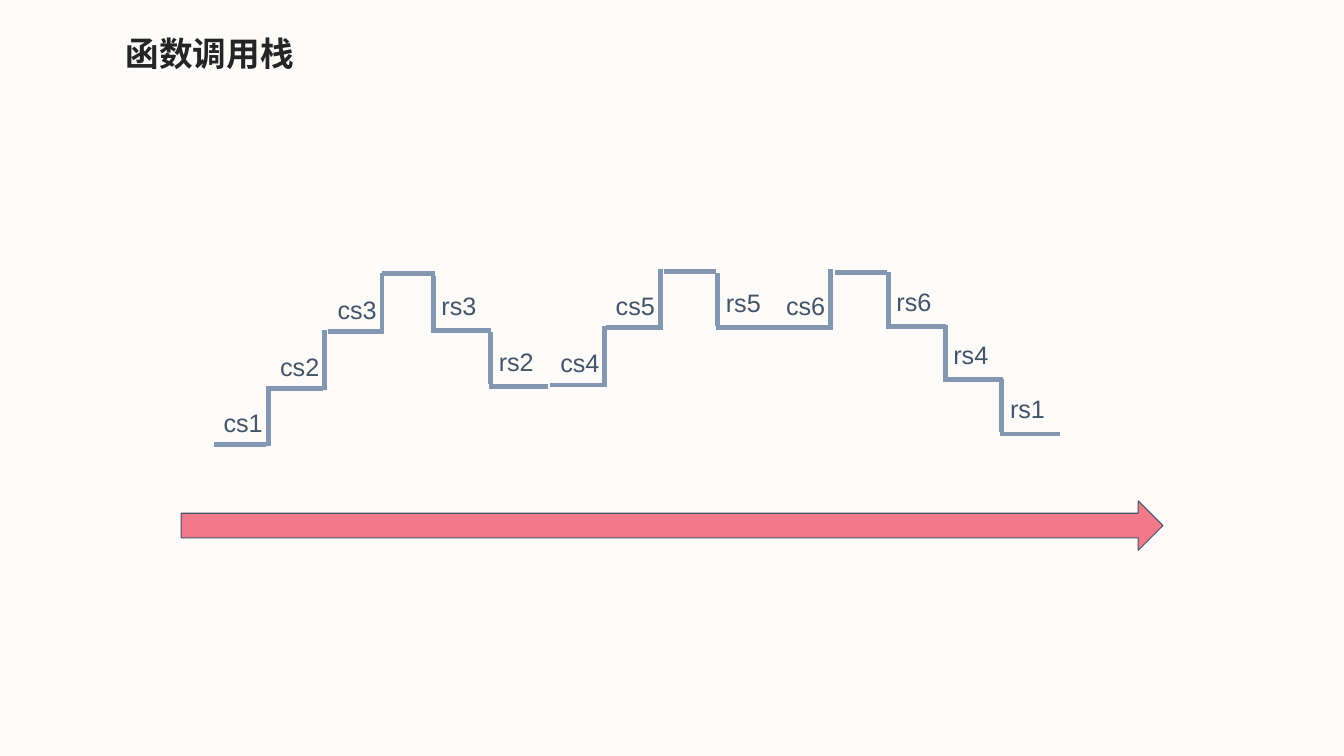
from lxml import etree
from pptx import Presentation
from pptx.dml.color import RGBColor
from pptx.enum import shapes, text
from pptx.oxml import ns
from pptx.util import Pt

# Content: label, left edge, then floor height (calls) or top height (returns)
TITLE = "函数调用栈"
CALLS = [
    ("cs1", 152.6, 317.5), ("cs2", 193, 277.2), ("cs3", 234, 236.9),
    ("cs4", 393.1, 275), ("cs5", 432.7, 234.2), ("cs6", 554.4, 234.2),
]
RETURNS = [
    ("rs3", 308.2, 197.3), ("rs2", 349.2, 236.9), ("rs5", 511.4, 195.1),
    ("rs6", 633.2, 194.2), ("rs4", 673.9, 232), ("rs1", 714.4, 271),
]
PEAKS = [(272.9, 195.1), (474, 193.7), (596.2, 194.4)]

PAPER = RGBColor(0xFC, 0xFB, 0xF9)
INK = RGBColor(0x23, 0x25, 0x25)
SLATE = RGBColor(0x44, 0x54, 0x69)
STEEL = RGBColor(0x84, 0x97, 0xB0)
CORAL = RGBColor(0xF1, 0x79, 0x8A)

TREAD = 37.5        # flat part of a call step or peak
RETURN_TREAD = 42.6
LABEL_HEIGHT = 28.8


def add_text(parent, content, left, top, width, height, *, font="Arial",
             size=18, color=SLATE, bold=False, wrap=False):
    box = parent.add_textbox(Pt(left), Pt(top), Pt(width), Pt(height))
    frame = box.text_frame
    frame.word_wrap = wrap
    frame.auto_size = text.MSO_AUTO_SIZE.SHAPE_TO_FIT_TEXT
    span = frame.paragraphs[0].add_run()
    span.text = content
    span.font.name = font
    span.font.size = Pt(size)
    span.font.bold = bold
    span.font.color.rgb = color
    # East Asian glyphs take their own typeface setting
    east_asian = etree.SubElement(span.font._element, ns.qn("a:ea"))
    east_asian.set("typeface", font)


def add_line(parent, x1, y1, x2, y2):
    line = parent.add_connector(shapes.MSO_CONNECTOR.STRAIGHT,
                                Pt(x1), Pt(y1), Pt(x2), Pt(y2))
    line.line.color.rgb = STEEL
    line.line.width = Pt(3.5)
    etree.SubElement(line._element.spPr, ns.qn("a:effectLst"))


def add_call(parent, label, left, floor):
    add_line(parent, left, floor, left + TREAD, floor)
    add_text(parent, label, left, floor - 30.1, 42.5, LABEL_HEIGHT)
    riser = left + 38.9
    add_line(parent, riser, floor - 41.8, riser, floor + 1.4)


def add_return(parent, label, left, top):
    riser, floor = left + 1.2, top + 39
    add_line(parent, riser, top, riser, top + 37.6)
    add_text(parent, label, left, top + 6.6, 39.6, LABEL_HEIGHT)
    add_line(parent, left + RETURN_TREAD, floor, left, floor)


def main():
    deck = Presentation()
    deck.slide_width, deck.slide_height = Pt(960), Pt(540)
    page = deck.slides.add_slide(deck.slide_layouts[6])
    page.background.fill.solid()
    page.background.fill.fore_color.rgb = PAPER

    # Title
    add_text(page.shapes, TITLE, 82.8, 20.2, 379.4, 36,
             font="Noto Sans CJK SC", size=24, color=INK, bold=True, wrap=True)

    # Time arrow
    arrow = page.shapes.add_shape(shapes.MSO_SHAPE.RIGHT_ARROW,
                                  Pt(129.4), Pt(357.8), Pt(701.3), Pt(35.3))
    arrow.shadow.inherit = False
    arrow.fill.solid()
    arrow.fill.fore_color.rgb = CORAL
    arrow.line.color.rgb = SLATE
    arrow.line.width = Pt(0.75)

    # Steps up and down, each a group
    for draw, steps in ((add_call, CALLS), (add_return, RETURNS)):
        for step in steps:
            draw(page.shapes.add_group_shape().shapes, *step)

    # Peaks between calls and returns
    for left, top in PEAKS:
        add_line(page.shapes, left, top, left + TREAD, top)

    deck.save("out.pptx")


if __name__ == "__main__":
    main()
